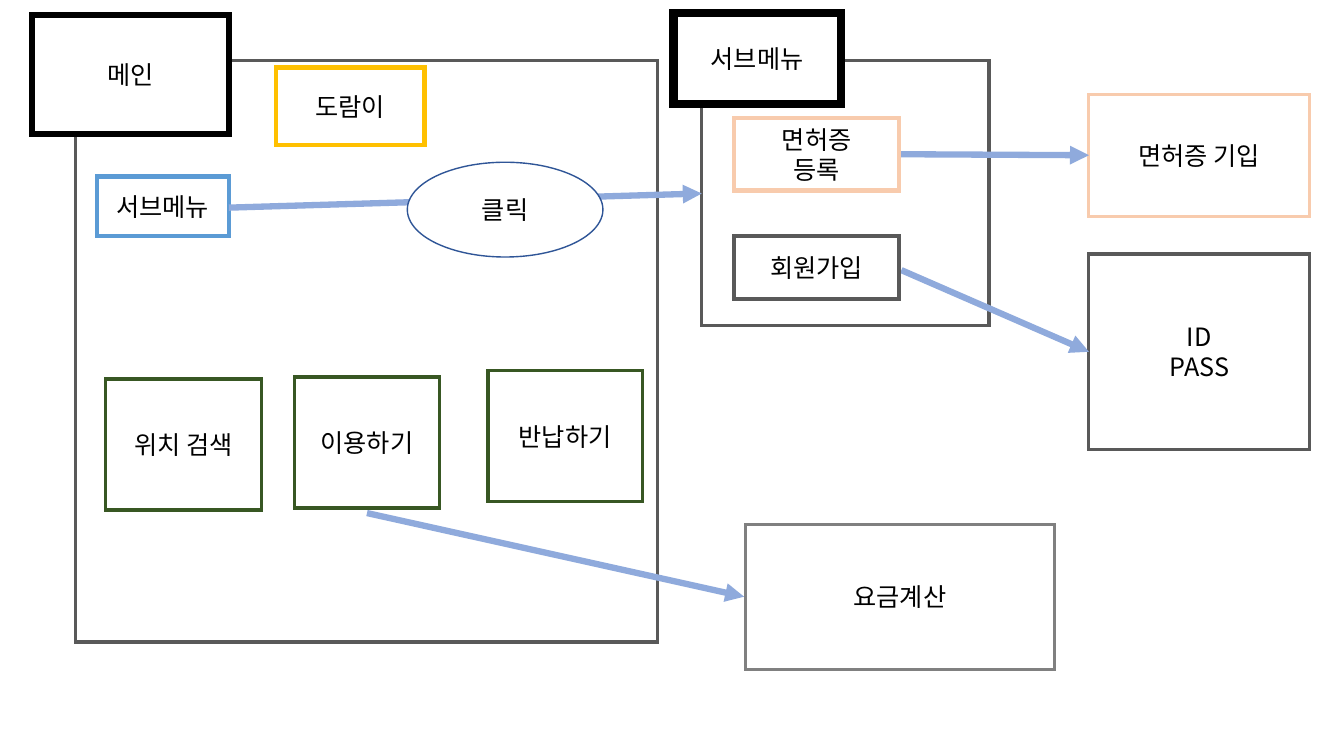
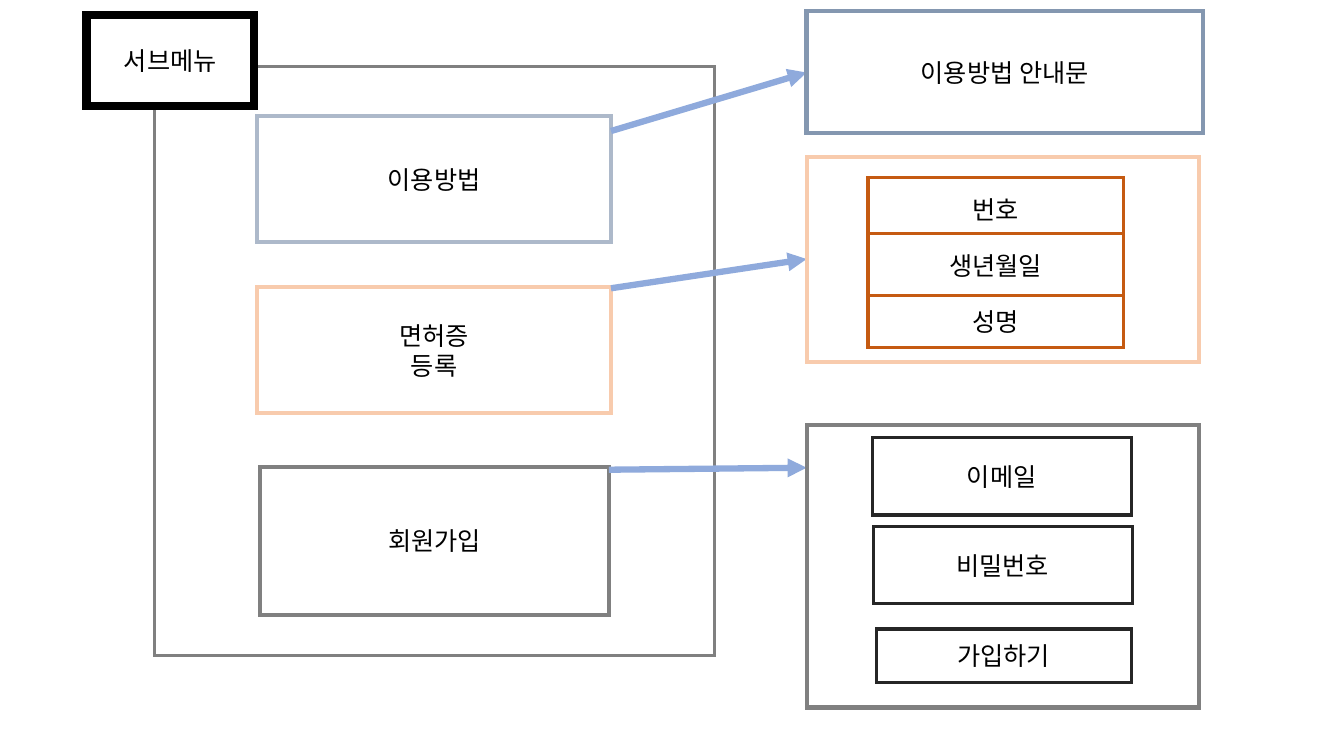
"""Build two screen-flow slides for a rental app."""
from lxml.etree import SubElement
from pptx import Presentation
from pptx.dml.color import RGBColor
from pptx.enum.shapes import MSO_CONNECTOR as LINK, MSO_SHAPE as SHAPE
from pptx.enum.text import MSO_ANCHOR as ANCHOR, PP_ALIGN as ALIGN
from pptx.oxml.ns import qn
from pptx.util import Inches, Pt

FONT = "Noto Sans CJK KR"
WHITE, BLACK, CHARCOAL = "FFFFFF", "000000", "262626"
DARK_GRAY, GRAY = "595959", "808080"
PEACH, RUST, GOLD, GREEN = "F8CBAD", "C55A11", "FFC000", "385723"
BLUE, NAVY, ARROW_BLUE = "5B9BD5", "2F5597", "8FAADC"
PALE_SLATE, SLATE = "ADB9CA", "8497B0"
THIN, MEDIUM, HEAVY = 2.25, 3, 4.5
color = RGBColor.from_string


def add_box(slide, left, top, width, height, outline, weight, label="", kind=SHAPE.RECTANGLE):
    box = slide.shapes.add_shape(kind, Inches(left), Inches(top), Inches(width), Inches(height))
    box.shadow.inherit = False
    box.fill.solid()
    box.fill.fore_color.rgb = color(WHITE)
    box.line.color.rgb = color(outline)
    box.line.width = Pt(weight)
    SubElement(box.line._get_or_add_ln(), qn("a:miter"), lim="800000")
    frame = box.text_frame
    frame.word_wrap = True
    frame.vertical_anchor = ANCHOR.MIDDLE
    for index, line in enumerate(label.split("\n") if label else []):
        paragraph = frame.add_paragraph() if index else frame.paragraphs[0]
        paragraph.alignment = ALIGN.CENTER
        run = paragraph.add_run()
        run.text = line
        run.font.size = Pt(18)
        run.font.name = FONT
        run.font.color.rgb = color(BLACK)
        SubElement(run.font._element, qn("a:ea"), typeface=FONT)


def add_arrow(slide, x1, y1, x2, y2):
    arrow = slide.shapes.add_connector(LINK.STRAIGHT, Inches(x1), Inches(y1), Inches(x2), Inches(y2))
    arrow.line.color.rgb = color(ARROW_BLUE)
    arrow.line.width = Pt(HEAVY)
    SubElement(arrow.line._get_or_add_ln(), qn("a:tailEnd"), type="triangle")
    SubElement(arrow._element.spPr, qn("a:effectLst"))


deck = Presentation()
deck.slide_width, deck.slide_height = Inches(13.33), Inches(7.5)
blank = deck.slide_layouts[6]

main = deck.slides.add_slide(blank)
for screen in [
    (0.75, 0.6, 5.77, 5.77, DARK_GRAY, THIN),
    (6.96, 0.6, 2.85, 2.63, DARK_GRAY, THIN),
    (2.74, 0.67, 1.47, 0.77, GOLD, MEDIUM, "도람이"),
    (0.96, 1.75, 1.31, 0.59, BLUE, MEDIUM, "서브메뉴"),
    (0.32, 0.15, 1.95, 1.18, BLACK, HEAVY, "메인"),
    (10.8, 0.94, 2.19, 1.21, PEACH, THIN, "면허증 기입"),
    (10.8, 2.52, 2.19, 1.94, DARK_GRAY, THIN, "ID\nPASS"),
]:
    add_box(main, *screen)
for route in [
    (2.27, 2.06, 6.96, 1.92),
    (3.64, 5.09, 7.38, 5.92),
    (8.93, 1.53, 10.8, 1.54),
    (8.94, 2.68, 10.8, 3.49),
]:
    add_arrow(main, *route)
add_box(main, 4.04, 1.61, 1.94, 0.94, NAVY, 1, "클릭", SHAPE.OVAL)
for left, top, width, action in [
    (1.05, 3.76, 1.54, "위치 검색"),
    (2.92, 3.74, 1.44, "이용하기"),
    (4.84, 3.68, 1.53, "반납하기"),
]:
    add_box(main, left, top, width, 1.3, GREEN, THIN, action)
for screen in [
    (7.39, 5.2, 3.07, 1.44, GRAY, THIN, "요금계산"),
    (6.68, 0.13, 1.66, 0.9, BLACK, 6, "서브메뉴"),
    (7.28, 1.17, 1.64, 0.72, PEACH, MEDIUM, "면허증\n등록"),
    (7.28, 2.34, 1.64, 0.63, DARK_GRAY, MEDIUM, "회원가입"),
]:
    add_box(main, *screen)

submenu = deck.slides.add_slide(blank)
for screen in [
    (1.53, 0.66, 5.56, 5.84, GRAY, THIN),
    (0.86, 0.15, 1.66, 0.9, BLACK, 6, "서브메뉴"),
    (2.55, 1.15, 3.51, 1.25, PALE_SLATE, MEDIUM, "이용방법"),
    (2.55, 2.85, 3.51, 1.25, PEACH, MEDIUM, "면허증\n등록"),
    (2.58, 4.63, 3.46, 1.47, GRAY, MEDIUM, "회원가입"),
]:
    add_box(submenu, *screen)
for x, y, target_y in [(6.06, 1.3, 0.72), (6.06, 2.86, 2.57), (6.04, 4.66, 4.64)]:
    add_arrow(submenu, x, y, 8, target_y)
for screen in [
    (8, 0.11, 3.93, 1.21, SLATE, MEDIUM, "이용방법 안내문"),
    (8, 1.56, 3.89, 2.03, PEACH, MEDIUM),
    (8, 4.22, 3.89, 2.8, GRAY, MEDIUM),
]:
    add_box(submenu, *screen)
for top, height, field in [(1.76, 0.63, "번호"), (2.32, 0.62, "생년월일"), (2.93, 0.52, "성명")]:
    add_box(submenu, 8.61, top, 2.53, height, RUST, THIN, field)
for left, top, width, height, field in [
    (8.65, 4.34, 2.57, 0.77, "이메일"),
    (8.66, 5.22, 2.57, 0.77, "비밀번호"),
    (8.69, 6.24, 2.53, 0.53, "가입하기"),
]:
    add_box(submenu, left, top, width, height, CHARCOAL, THIN, field)

deck.save("out.pptx")
